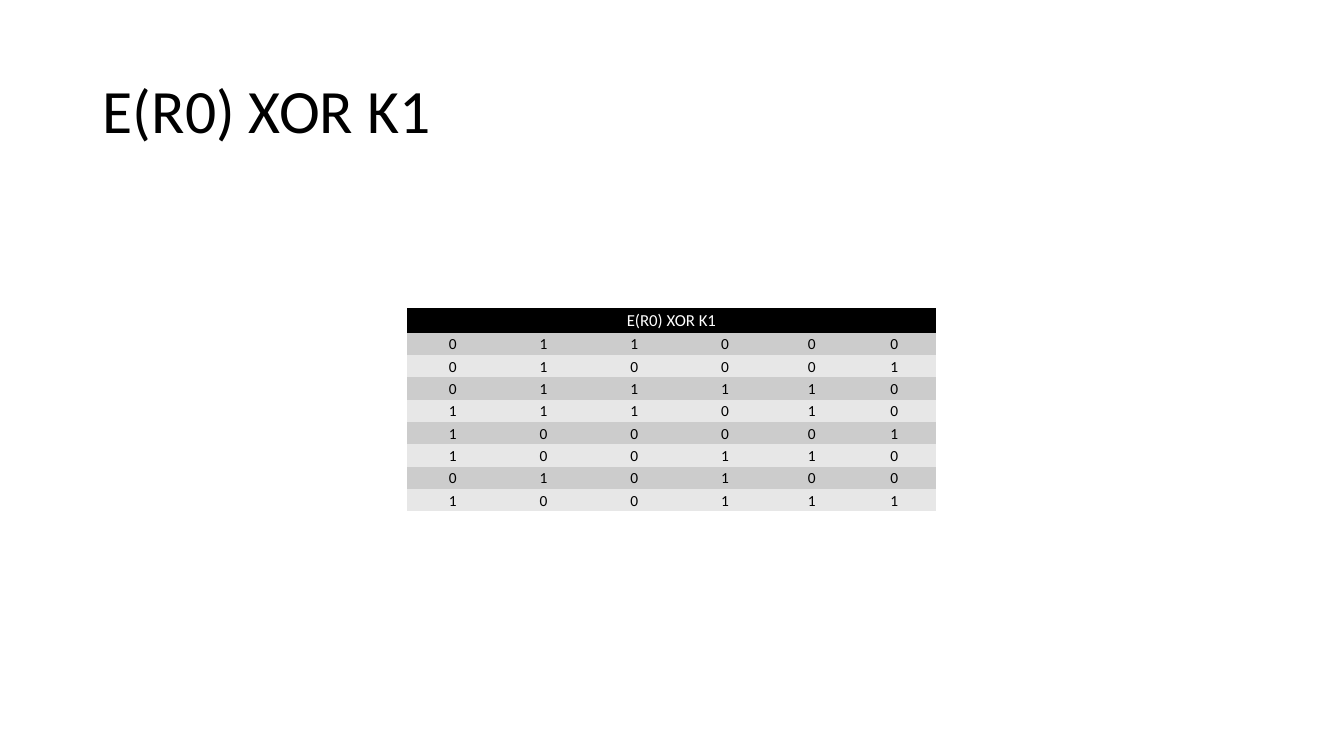
from pptx import Presentation
from pptx.dml.color import RGBColor
from pptx.enum.text import MSO_ANCHOR, PP_ALIGN
from pptx.util import Inches, Pt

FONT = "Calibri"
HEAD = "E(R0) XOR K1"
BITS = ["011000", "010001", "011110", "111010",
        "100001", "100110", "010100", "100111"]
WIDTHS = [0.9] * 4 + [0.82] * 2
HEAD_ROW, BIT_ROW = 0.24, 0.22
BANDS = ["CCCCCC", "E7E7E7"]
PLAIN = "{2D5ABB26-0587-4C30-8999-92F81FD0307C}"


def color(code):
    return RGBColor.from_string(code)


def style(para, size, ink, align, spacing):
    para.alignment, para.line_spacing = align, spacing
    para.font.name, para.font.size = FONT, Pt(size)
    para.font.color.rgb = color(ink)


def add_title(slide, left, top, width, height):
    title = slide.shapes.title
    title.left, title.top = Inches(left), Inches(top)
    title.width, title.height = Inches(width), Inches(height)
    frame = title.text_frame
    frame.text = HEAD
    frame.vertical_anchor = MSO_ANCHOR.MIDDLE
    style(frame.paragraphs[0], 44, "000000", PP_ALIGN.LEFT, 0.9)


def fill_cell(cell, text, size, ink, back):
    cell.fill.solid()
    cell.fill.fore_color.rgb = color(back)
    cell.margin_left = cell.margin_right = Inches(0.01)
    cell.margin_top = cell.margin_bottom = Inches(0.01)
    cell.vertical_anchor = MSO_ANCHOR.MIDDLE
    cell.text = text
    style(cell.text_frame.paragraphs[0], size, ink, PP_ALIGN.CENTER, 1.07)


def add_bits(slide, left, top):
    """Table of bits, one six-bit group a row, under a merged heading."""
    high = HEAD_ROW + BIT_ROW * len(BITS)
    frame = slide.shapes.add_table(len(BITS) + 1, len(WIDTHS), Inches(left),
                                   Inches(top), Inches(sum(WIDTHS)), Inches(high))
    table = frame.table
    # The style without grid lines keeps the bands unbroken.
    table._tbl.tblPr.find("{*}tableStyleId").text = PLAIN
    for col, width in zip(table.columns, WIDTHS):
        col.width = Inches(width)
    for row in table.rows:
        row.height = Inches(BIT_ROW)
    table.rows[0].height = Inches(HEAD_ROW)

    for cell in table.rows[0].cells:
        fill_cell(cell, "", 12, "FFFFFF", "000000")
    table.cell(0, 0).merge(table.cell(0, len(WIDTHS) - 1))
    fill_cell(table.cell(0, 0), HEAD, 12, "FFFFFF", "000000")
    for r, group in enumerate(BITS):
        for c, bit in enumerate(group):
            fill_cell(table.cell(r + 1, c), bit, 11, "000000", BANDS[r % 2])


def main():
    deck = Presentation()
    deck.slide_width, deck.slide_height = Inches(13.33), Inches(7.5)
    slide = deck.slides.add_slide(deck.slide_layouts[5])
    add_title(slide, 0.92, 0.4, 11.5, 1.45)
    add_bits(slide, 4.04, 3.06)
    deck.save("out.pptx")


if __name__ == "__main__":
    main()
